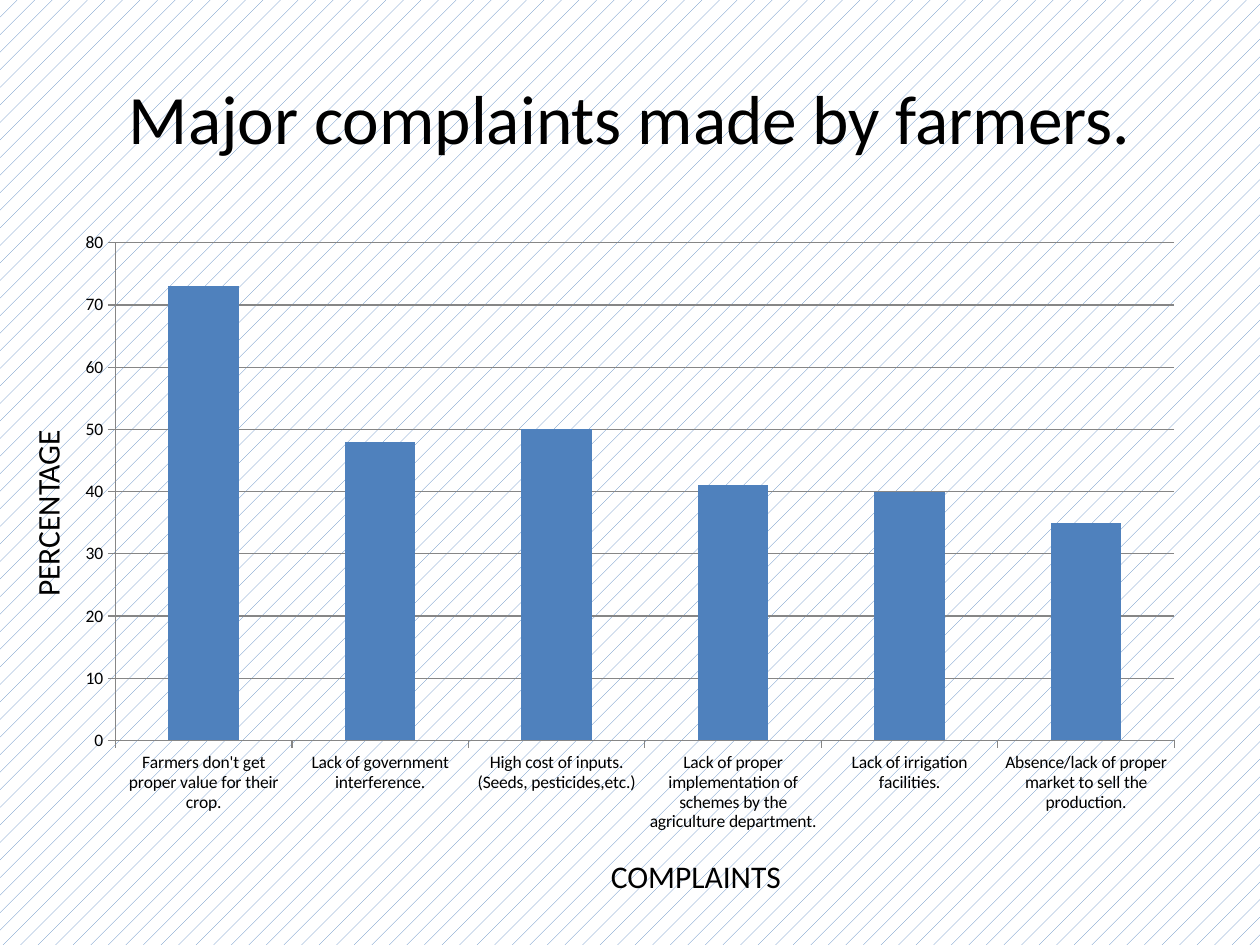
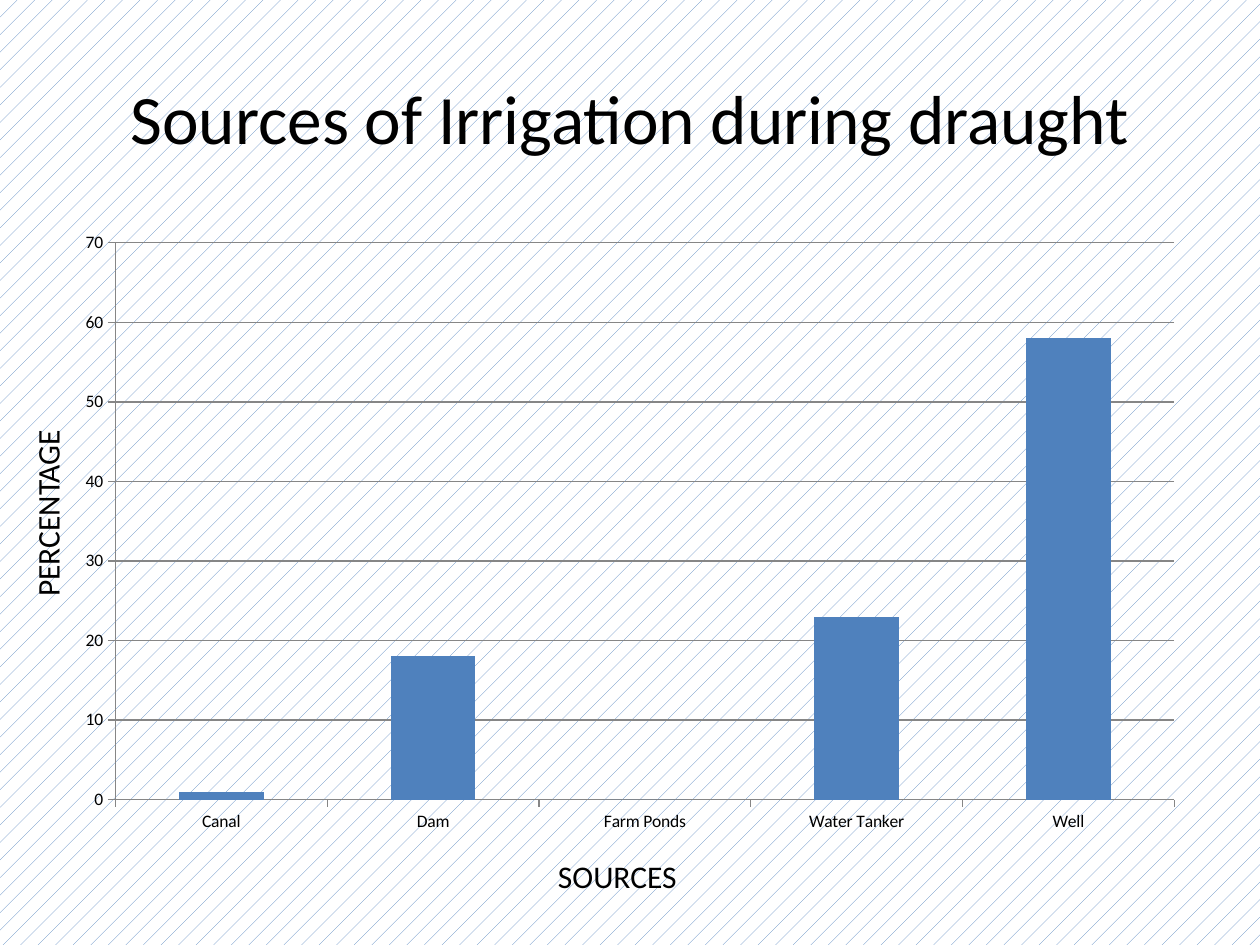
from dataclasses import dataclass

from pptx import Presentation
from pptx.chart.data import CategoryChartData
from pptx.dml.color import RGBColor
from pptx.enum.chart import XL_CHART_TYPE, XL_TICK_MARK
from pptx.enum.dml import MSO_PATTERN
from pptx.enum.text import MSO_ANCHOR, MSO_AUTO_SIZE, PP_ALIGN
from pptx.util import Inches, Pt

COLUMNS = XL_CHART_TYPE.COLUMN_CLUSTERED
TICK_OUT, TICK_NONE = XL_TICK_MARK.OUTSIDE, XL_TICK_MARK.NONE
DOTTED = MSO_PATTERN.PERCENT_5
MIDDLE, TOP = MSO_ANCHOR.MIDDLE, MSO_ANCHOR.TOP
FIXED, GROW = MSO_AUTO_SIZE.NONE, MSO_AUTO_SIZE.SHAPE_TO_FIT_TEXT
LEFT, CENTER = PP_ALIGN.LEFT, PP_ALIGN.CENTER

FONT = "Calibri"
BLUE, WHITE, BLACK, GREY = "4F81BD", "FFFFFF", "000000", "868686"
AXIS_STEP = 10


@dataclass(frozen=True)
class TextStyle:
    size: float
    align: int
    frame: dict
    rotation: float = 0


@dataclass(frozen=True)
class Box:
    left: float
    top: float
    width: float
    height: float

    def lengths(self) -> list:
        return [Inches(v) for v in (self.left, self.top, self.width, self.height)]


@dataclass(frozen=True)
class Survey:
    title: str
    category_caption: str
    caption_left: float
    axis_maximum: int
    shares: dict


TITLE_STYLE = TextStyle(
    39.6, CENTER, {"word_wrap": True, "auto_size": FIXED, "vertical_anchor": MIDDLE})
CAPTION_FRAME = {"word_wrap": True, "auto_size": GROW, "vertical_anchor": TOP}
CAPTION_STYLE = TextStyle(18, LEFT, CAPTION_FRAME)
VERTICAL_CAPTION_STYLE = TextStyle(18, LEFT, CAPTION_FRAME, rotation=270)

TITLE_BOX = Box(0.5, 0.3, 9, 1.25)
CHART_BOX = Box(0.5, 1.75, 9, 4.95)
PERCENTAGE_BOX = Box(-0.46, 3.8, 1.67, 0.4)

SURVEYS = [
    Survey("Major complaints made by farmers.", "COMPLAINTS", 4.75, 80, {
        "Farmers don't get proper value for their crop.": 73,
        "Lack of government interference.": 48,
        "High cost of inputs.(Seeds, pesticides,etc.)": 50,
        "Lack of proper implementation of schemes by the agriculture department.": 41,
        "Lack of irrigation facilities.": 40,
        "Absence/lack of proper market to sell the production.": 35,
    }),
    Survey("Sources of Irrigation during draught", "SOURCES", 4.33, 70, {
        "Canal": 1,
        "Dam": 18,
        "Farm Ponds": 0,
        "Water Tanker": 23,
        "Well": 58,
    }),
]


def color(hex_value: str) -> RGBColor:
    return RGBColor.from_string(hex_value)


def apply(target, values: dict) -> None:
    """Set each named attribute of target."""
    for name, value in values.items():
        setattr(target, name, value)


def style_font(font, size: float) -> None:
    apply(font, {"name": FONT, "size": Pt(size), "bold": False})
    font.color.rgb = color(BLACK)


def style_line(line) -> None:
    line.color.rgb = color(GREY)
    line.width = Pt(0.75)


def paint_background(slide) -> None:
    fill = slide.background.fill
    fill.patterned()
    fill.pattern = DOTTED
    fill.fore_color.rgb = color(BLUE)
    fill.back_color.rgb = color(WHITE)


def add_text(slide, box: Box, text: str, style: TextStyle) -> None:
    text_box = slide.shapes.add_textbox(*box.lengths())
    text_box.rotation = style.rotation
    apply(text_box.text_frame, style.frame)
    paragraph = text_box.text_frame.paragraphs[0]
    paragraph.text = text
    paragraph.alignment = style.align
    style_font(paragraph.runs[0].font, style.size)


def add_column_chart(slide, survey: Survey) -> None:
    data = CategoryChartData()
    data.categories = list(survey.shares)
    data.add_series("Series 1", list(survey.shares.values()))
    chart = slide.shapes.add_chart(COLUMNS, *CHART_BOX.lengths(), data).chart
    apply(chart, {"has_legend": False, "has_title": False})
    style_font(chart.font, 10)

    plot = chart.plots[0]
    apply(plot, {"gap_width": 150, "vary_by_categories": False})
    columns = plot.series[0]
    columns.invert_if_negative = False
    columns.format.fill.solid()
    columns.format.fill.fore_color.rgb = color(BLUE)

    for axis in (chart.category_axis, chart.value_axis):
        apply(axis, {"major_tick_mark": TICK_OUT, "minor_tick_mark": TICK_NONE})
        style_line(axis.format.line)
    chart.category_axis.has_major_gridlines = False
    apply(chart.value_axis, {
        "minimum_scale": 0,
        "maximum_scale": survey.axis_maximum,
        "major_unit": AXIS_STEP,
        "has_major_gridlines": True,
    })
    style_line(chart.value_axis.major_gridlines.format.line)


def add_survey_slide(deck, survey: Survey) -> None:
    slide = deck.slides.add_slide(deck.slide_layouts[6])
    paint_background(slide)
    add_text(slide, TITLE_BOX, survey.title, TITLE_STYLE)
    add_column_chart(slide, survey)
    add_text(slide, PERCENTAGE_BOX, "PERCENTAGE", VERTICAL_CAPTION_STYLE)
    caption_box = Box(survey.caption_left, 6.75, 3.08, 0.4)
    add_text(slide, caption_box, survey.category_caption, CAPTION_STYLE)


def main() -> None:
    deck = Presentation()
    deck.slide_width, deck.slide_height = Inches(10), Inches(7.5)
    for survey in SURVEYS:
        add_survey_slide(deck, survey)
    deck.save("out.pptx")


if __name__ == "__main__":
    main()
